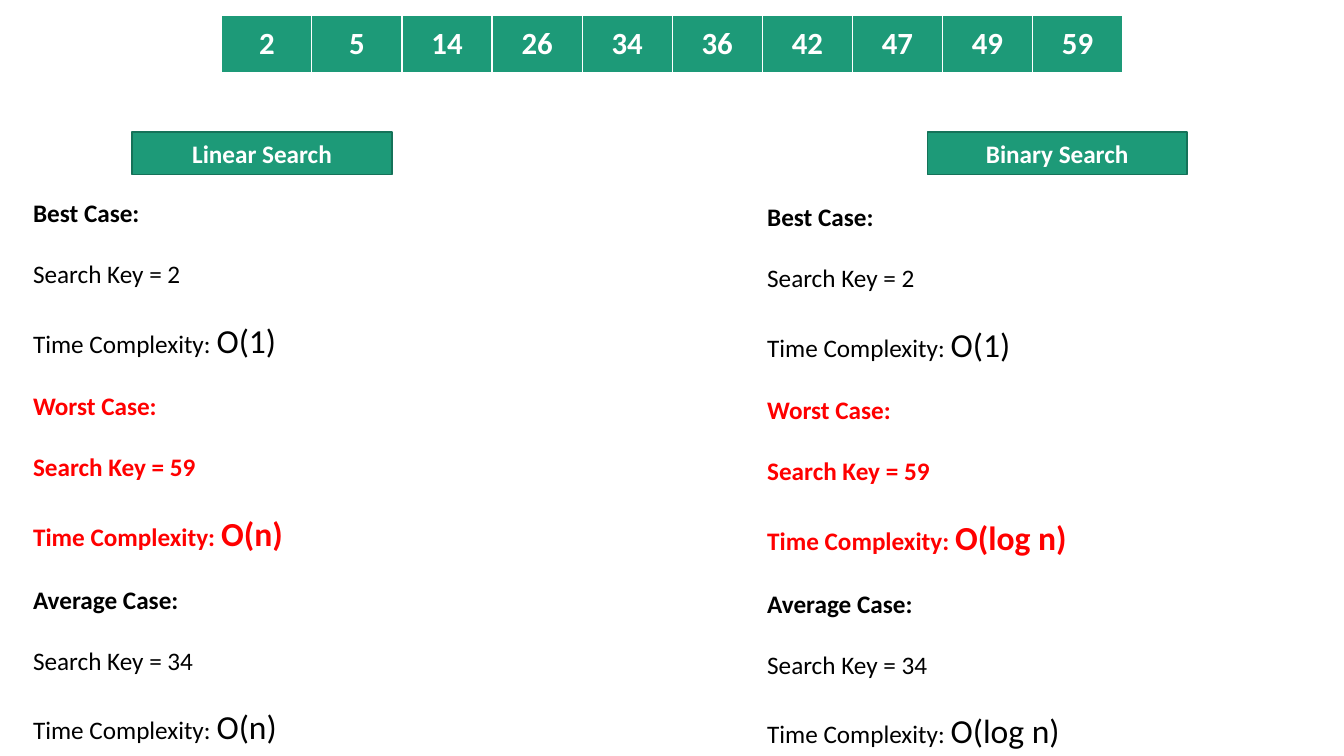
from lxml import etree
from pptx import Presentation, util as u
from pptx.dml.color import RGBColor
from pptx.enum import shapes, text
from pptx.oxml.ns import qn

GREEN, EDGE, WHITE, BLACK, RED = "1D9A78", "157259", "FFFFFF", "000000", "FF0000"
KEYS = [2, 5, 14, 26, 34, 36, 42, 47, 49, 59]


def paint(target, shade):
    """Give a fill or a font a solid colour."""
    if hasattr(target, "solid"):
        target.solid()
        target.fore_color.rgb = RGBColor.from_string(shade)
    else:
        target.color.rgb = RGBColor.from_string(shade)


def add_run(para, words, size, shade, bold):
    run = para.add_run()
    run.text = words
    run.font.name = "Calibri"
    run.font.size = u.Pt(size)
    run.font.bold = bold
    paint(run.font, shade)


def edge_cell(cell):
    """Draw white borders, with a thicker one below."""
    props = cell._tc.get_or_add_tcPr()
    for spot, (side, width) in enumerate(zip("LRTB", (1, 1, 1, 3))):
        line = etree.Element(qn(f"a:ln{side}"), w=str(u.Pt(width)))
        fill = etree.SubElement(line, qn("a:solidFill"))
        etree.SubElement(fill, qn("a:srgbClr"), val=WHITE)
        props.insert(spot, line)


def add_array(slide, left, top, width, height):
    grid = slide.shapes.add_table(1, len(KEYS), left, top, width, height).table
    grid.rows[0].height = height
    for col, key in enumerate(KEYS):
        grid.columns[col].width = int(width / len(KEYS))
        cell = grid.cell(0, col)
        paint(cell.fill, GREEN)
        edge_cell(cell)
        cell.vertical_anchor = text.MSO_ANCHOR.MIDDLE
        para = cell.text_frame.paragraphs[0]
        para.alignment = text.PP_ALIGN.CENTER
        add_run(para, str(key), 22, WHITE, True)


def add_label(slide, name, left, top, width, height):
    label = slide.shapes.add_shape(
        shapes.MSO_SHAPE.RECTANGLE, left, top, width, height)
    label.shadow.inherit = False
    paint(label.fill, GREEN)
    paint(label.line.fill, EDGE)
    label.line.width = u.Pt(1)
    frame = label.text_frame
    frame.vertical_anchor = text.MSO_ANCHOR.MIDDLE
    para = frame.paragraphs[0]
    para.alignment = text.PP_ALIGN.CENTER
    add_run(para, name, 18, WHITE, True)


def add_line(frame, first, parts, shade, bold):
    """Add one unbulleted paragraph, set a line apart from the last."""
    para = frame.paragraphs[0] if first else frame.add_paragraph()
    para.space_before = u.Pt(0 if first else 22)
    props = para._p.get_or_add_pPr()
    props.set("marL", "0")
    props.set("indent", "0")
    etree.SubElement(props, qn("a:buNone"))
    for words, size in parts:
        add_run(para, words, size, shade, bold)


def fill_cases(body, costs, left, top, width, height):
    body.left, body.top, body.width, body.height = left, top, width, height
    frame = body.text_frame
    frame.word_wrap = True
    frame.auto_size = text.MSO_AUTO_SIZE.NONE
    cases = zip(("Best", "Worst", "Average"), (2, 59, 34), costs)
    for case, key, cost in cases:
        worst = case == "Worst"
        shade = RED if worst else BLACK
        add_line(frame, case == "Best", [(f"{case} Case:", 18)], shade, True)
        add_line(frame, False, [(f"Search Key = {key}", 18)], shade, worst)
        add_line(frame, False, [("Time Complexity: ", 18), (cost, 24)],
                 shade, worst)


def main():
    deck = Presentation()
    deck.slide_width, deck.slide_height = u.Cm(33.87), u.Cm(19.05)
    slide = deck.slides.add_slide(deck.slide_layouts.get_by_name("Two Content"))
    title, *bodies = slide.placeholders
    title.element.getparent().remove(title.element)

    add_array(slide, u.Cm(5.59), u.Cm(0.38), u.Cm(22.7), u.Cm(1.47))
    sides = [
        ("Linear Search", 3.33, 0.58, 4.85, ("O(1)", "O(n)", "O(n)")),
        ("Binary Search", 23.37, 19.08, 4.95, ("O(1)", "O(log n)", "O(log n)")),
    ]
    for body, (name, tab, left, top, costs) in zip(bodies, sides):
        add_label(slide, name, u.Cm(tab), u.Cm(3.33), u.Cm(6.55), u.Cm(1.07))
        fill_cases(body, costs, u.Cm(left), u.Cm(top), u.Cm(14.55), u.Cm(14.88))
    deck.save("out.pptx")


if __name__ == "__main__":
    main()
